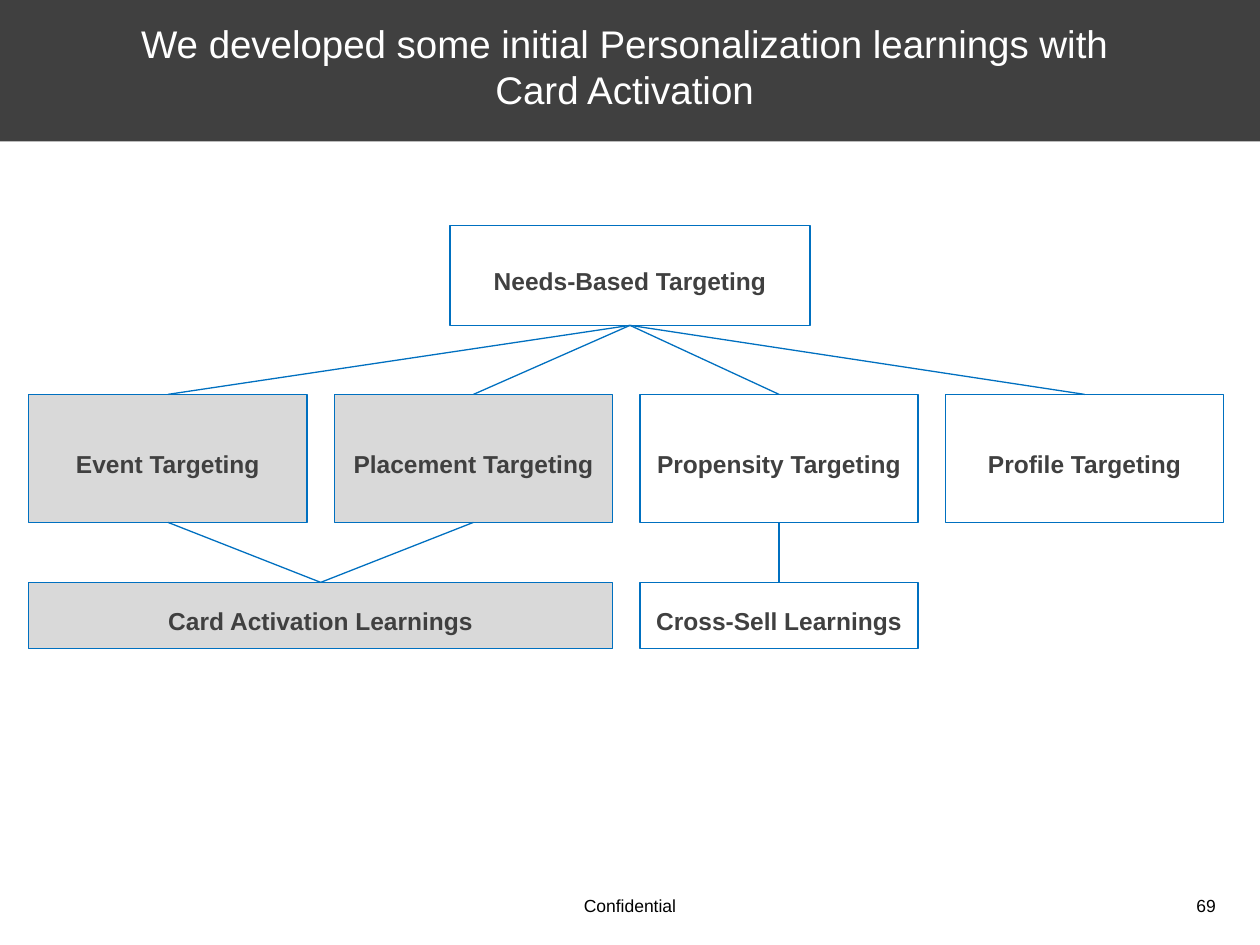
from dataclasses import dataclass

from lxml import etree
from pptx import Presentation
from pptx import util as u
from pptx.dml.color import RGBColor
from pptx.enum import shapes, text
from pptx.oxml import ns


@dataclass(frozen=True)
class Theme:
    font: str = "Arial"
    dark: str = "404040"
    white: str = "FFFFFF"
    black: str = "000000"
    highlight: str = "D9D9D9"
    outline: str = "0070C0"
    title_size: int = 22
    box_size: int = 14
    footer_size: int = 10
    line_width: float = 0.75


class TargetingSlide:
    """Draws the elements of one slide in a common theme."""

    def __init__(self, slide, theme):
        self.slide = slide
        self.theme = theme

    def add_words(self, paragraph, words, size, color, align, bold=False):
        paragraph.alignment = align
        run = paragraph.add_run()
        run.text = words
        run.font.name = self.theme.font
        run.font.size = u.Pt(size)
        run.font.bold = bold
        run.font.color.rgb = RGBColor.from_string(color)

    def title(self, lines, left, top, width, height):
        band = self.slide.shapes.title
        band.left, band.top, band.width, band.height = map(u.Cm, (left, top, width, height))
        band.fill.solid()
        band.fill.fore_color.rgb = RGBColor.from_string(self.theme.dark)
        frame = band.text_frame
        frame.auto_size = text.MSO_AUTO_SIZE.NONE
        frame.word_wrap = True
        frame.vertical_anchor = text.MSO_ANCHOR.MIDDLE
        frame.margin_left = frame.margin_right = u.Cm(0.38)
        frame.margin_top = frame.margin_bottom = u.Cm(0.25)
        for index, words in enumerate(lines):
            paragraph = frame.add_paragraph() if index else frame.paragraphs[0]
            self.add_words(paragraph, words, self.theme.title_size, self.theme.white,
                           text.PP_ALIGN.CENTER)

    def box(self, words, left, top, width, height, fill=None):
        box = self.slide.shapes.add_shape(
            shapes.MSO_SHAPE.RECTANGLE, *map(u.Cm, (left, top, width, height)))
        box.shadow.inherit = False
        if fill:
            box.fill.solid()
            box.fill.fore_color.rgb = RGBColor.from_string(fill)
        else:
            box.fill.background()
        box.line.color.rgb = RGBColor.from_string(self.theme.outline)
        box.line.width = u.Pt(self.theme.line_width)
        frame = box.text_frame
        frame.word_wrap = True
        frame.vertical_anchor = text.MSO_ANCHOR.MIDDLE
        frame.margin_top = u.Cm(0.23)
        paragraph = frame.paragraphs[0]
        paragraph.line_spacing = 1.2
        self.add_words(paragraph, words, self.theme.box_size, self.theme.dark,
                       text.PP_ALIGN.CENTER, bold=True)
        return box

    def link(self, parent, child):
        line = self.slide.shapes.add_connector(shapes.MSO_CONNECTOR.STRAIGHT, 0, 0, 0, 0)
        line.begin_connect(parent, 2)
        line.end_connect(child, 0)
        line.line.color.rgb = RGBColor.from_string(self.theme.outline)
        line.line.width = u.Pt(self.theme.line_width)
        etree.SubElement(line._element.spPr, ns.qn("a:effectLst"))

    def footer(self, words, left, width, align):
        note = self.slide.shapes.add_textbox(*map(u.Cm, (left, 17.91, width, 0.69)))
        note.text_frame.word_wrap = True
        self.add_words(note.text_frame.paragraphs[0], words, self.theme.footer_size,
                       self.theme.black, align)


def main():
    deck = Presentation()
    deck.slide_width, deck.slide_height = u.Cm(25.4), u.Cm(19.05)
    theme = Theme()
    page = TargetingSlide(deck.slides.add_slide(deck.slide_layouts[5]), theme)

    page.title(["We developed some initial Personalization learnings with ",
                "Card Activation "], 0, -0.2, 25.4, 3.05)

    margin, pitch, width = 0.58, 6.16, 5.61
    needs = page.box("Needs-Based Targeting", 9.07, 4.55, 7.26, 2.01, theme.white)
    methods = [("Event", theme.highlight), ("Placement", theme.highlight),
               ("Propensity", None), ("Profile", None)]
    targeting = [page.box(f"{method} Targeting", margin + column * pitch, 7.95, width, 2.58, fill)
                 for column, (method, fill) in enumerate(methods)]
    activation = page.box("Card Activation Learnings", margin, 11.74, pitch + width, 1.34,
                          theme.highlight)
    cross_sell = page.box("Cross-Sell Learnings", margin + 2 * pitch, 11.74, width, 1.34)

    for method in targeting:
        page.link(needs, method)
    for method, learnings in zip(targeting, (activation, activation, cross_sell)):
        page.link(method, learnings)

    page.footer("Confidential", 5.08, 15.24, text.PP_ALIGN.CENTER)
    page.footer("69", 23.62, 1.14, text.PP_ALIGN.RIGHT)
    deck.save("out.pptx")


if __name__ == "__main__":
    main()
